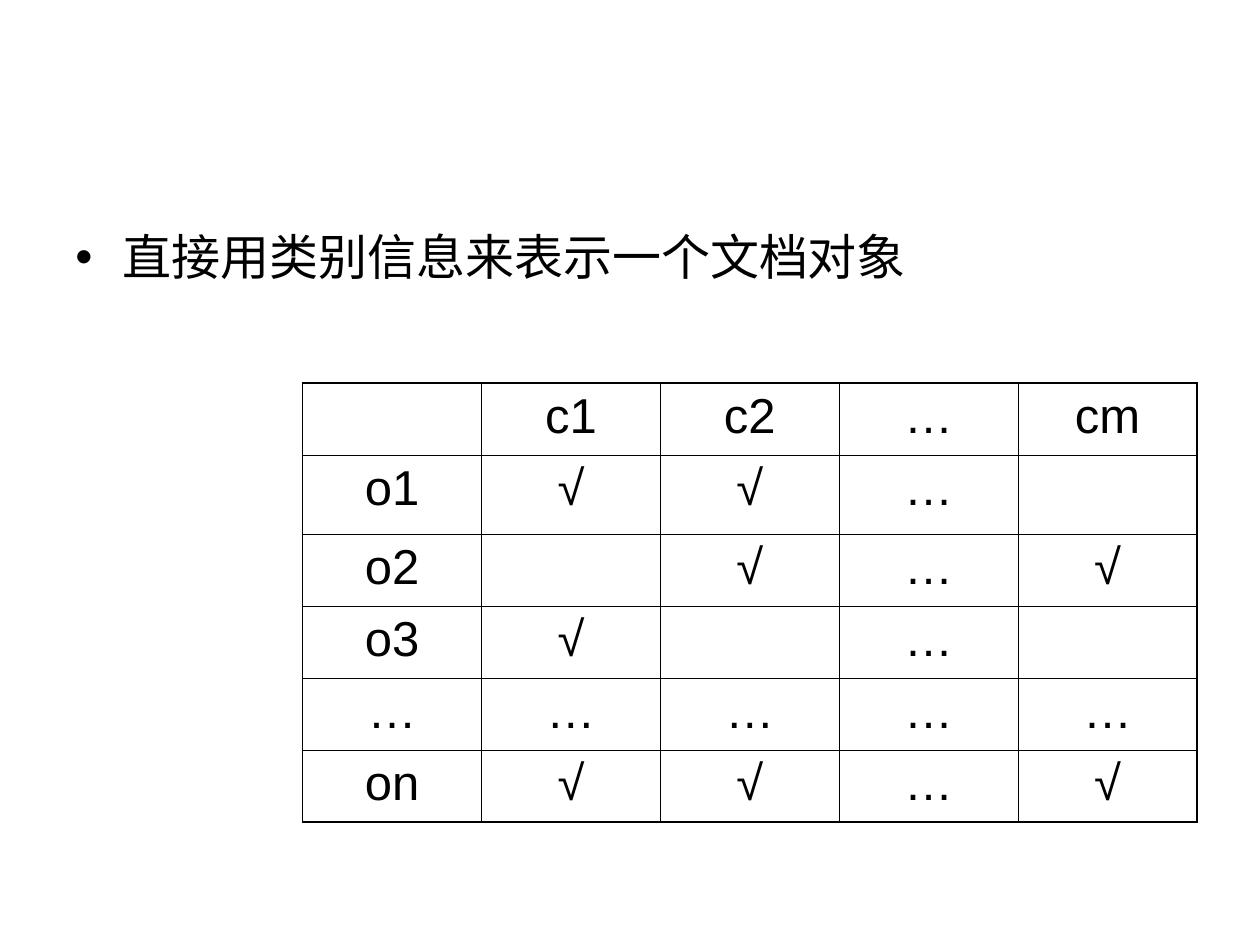
from lxml.etree import SubElement
from pptx import Presentation
from pptx.dml.color import RGBColor as RGB
from pptx.enum.text import PP_ALIGN as ALIGN
from pptx.oxml.ns import qn
from pptx.util import Cm, Pt

COLORS = {"text": "000000", "border": "000000"}
FONT = "Arial"
ROWS = [
    ["", "c1", "c2", "…", "cm"],
    ["o1", "√", "√", "…", ""],
    ["o2", "", "√", "…", "√"],
    ["o3", "√", "", "…", ""],
    ["…", "…", "…", "…", "…"],
    ["on", "√", "√", "…", "√"],
]
ROW_HEIGHTS = [1.45, 1.6, 1.45, 1.45, 1.45, 1.45]
INNER, OUTER = 0.45, 1.08


def add_run(p, text):
    """Add a run in the slide's text style."""
    r = p.add_run()
    r.text = text
    r.font.size = Pt(28)
    r.font.name = FONT
    r.font.color.rgb = RGB.from_string(COLORS["text"])


def set_borders(cell, widths):
    """Draw the cell borders, given widths in points by side."""
    tc_pr = cell._tc.get_or_add_tcPr()
    for side, width in widths.items():
        ln = SubElement(tc_pr, qn(f"a:ln{side}"), w=str(Pt(width)))
        fill = SubElement(ln, qn("a:solidFill"))
        SubElement(fill, qn("a:srgbClr"), val=COLORS["border"])


def add_bullet_text(slide, left, top, width, height, text):
    """Place a bulleted statement in the given box."""
    sp = slide.shapes.add_textbox(Cm(left), Cm(top), Cm(width), Cm(height))
    tf = sp.text_frame
    tf.word_wrap = True
    p = tf.paragraphs[0]
    p_pr = p._p.get_or_add_pPr()
    p_pr.set("marL", str(Cm(0.96)))
    p_pr.set("indent", str(Cm(-0.96)))
    bu_clr = SubElement(p_pr, qn("a:buClr"))
    SubElement(bu_clr, qn("a:srgbClr"), val=COLORS["text"])
    SubElement(p_pr, qn("a:buFont"), typeface=FONT)
    SubElement(p_pr, qn("a:buChar"), char="•")
    add_run(p, text)


def add_category_table(slide, left, top, width):
    """Place the object-by-category table with a heavier outline."""
    n_rows, n_cols = len(ROWS), len(ROWS[0])
    frame = slide.shapes.add_table(
        n_rows, n_cols, Cm(left), Cm(top), Cm(width), Cm(sum(ROW_HEIGHTS)))
    table = frame.table
    table.first_row = table.horz_banding = False
    for row, height in zip(table.rows, ROW_HEIGHTS):
        row.height = Cm(height)
    for i, values in enumerate(ROWS):
        for j, value in enumerate(values):
            cell = table.cell(i, j)
            set_borders(cell, {
                "L": OUTER if j == 0 else INNER,
                "R": OUTER if j == n_cols - 1 else INNER,
                "T": OUTER if i == 0 else INNER,
                "B": OUTER if i == n_rows - 1 else INNER,
            })
            cell.fill.background()
            p = cell.text_frame.paragraphs[0]
            p.alignment = ALIGN.CENTER
            if value:
                add_run(p, value)


def main():
    """Build and save the slide."""
    prs = Presentation()
    prs.slide_width, prs.slide_height = Cm(25.4), Cm(19.05)
    slide = prs.slides.add_slide(prs.slide_layouts[6])
    add_category_table(slide, 6.1, 7.72, 18.03)
    add_bullet_text(slide, 1.27, 4.45, 23.04, 4.29,
                    "直接用类别信息来表示一个文档对象")
    prs.save("out.pptx")


if __name__ == "__main__":
    main()
